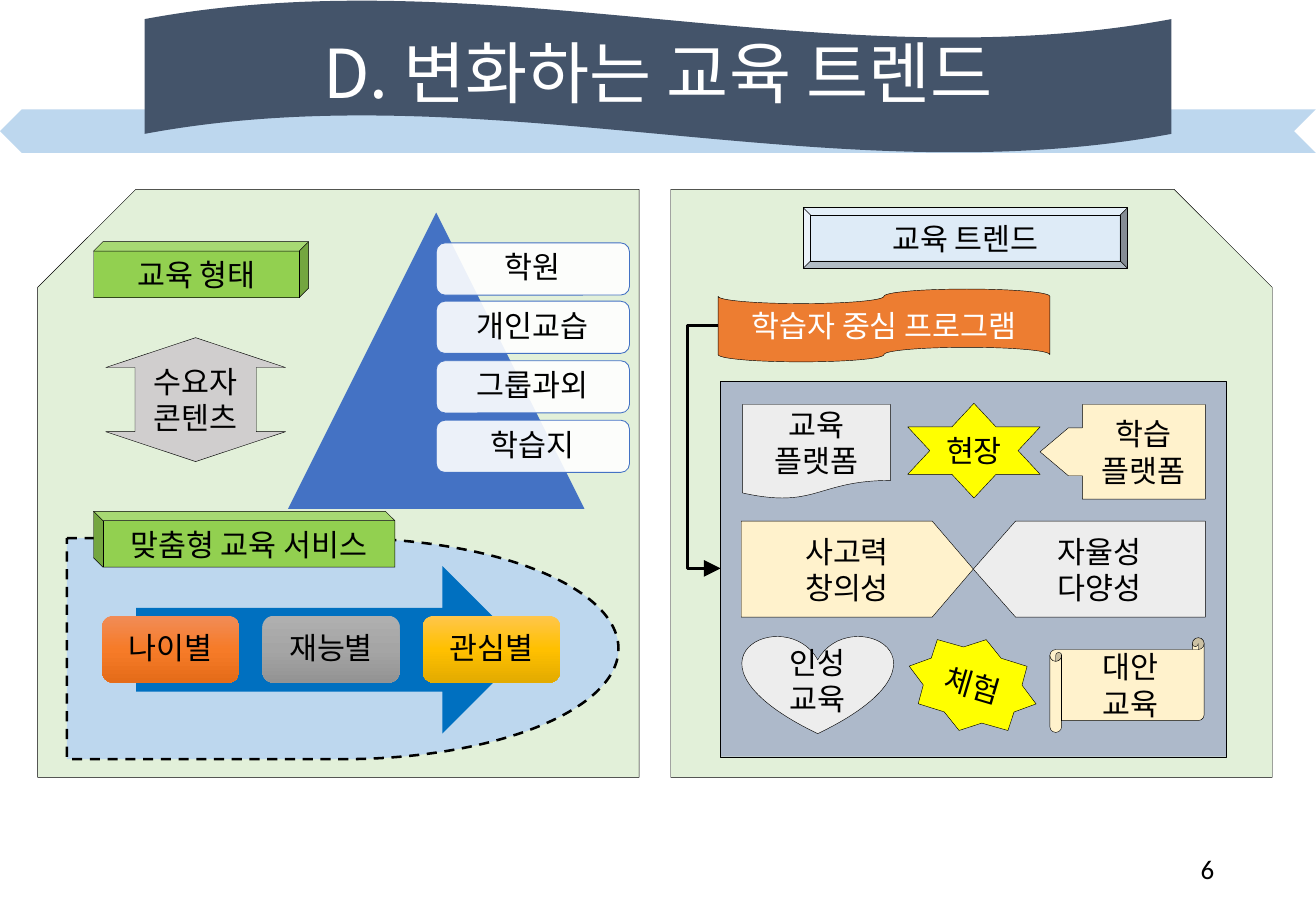
from copy import deepcopy
from dataclasses import dataclass

from lxml.etree import SubElement
from pptx import Presentation
from pptx.dml.color import RGBColor
from pptx.enum.dml import MSO_LINE
from pptx.enum.shapes import MSO_CONNECTOR, MSO_SHAPE as Preset
from pptx.enum.text import MSO_ANCHOR, PP_ALIGN as Align
from pptx.oxml.ns import qn
from pptx.util import Emu, Pt

EMU_PER_PX = 9144  # 100 px to the inch
KOREAN = "Noto Sans CJK KR"
BLACK, WHITE = "000000", "FFFFFF"
GREEN, MINT, SKY = "92D050", "E2F0D9", "BDD7EE"
BLUE, CREAM, PALE, YELLOW = "4472C4", "FFF2CC", "EDEDED", "FFFF00"


@dataclass(frozen=True)
class TextStyle:
    size: int = 18
    color: str = BLACK
    font: str = KOREAN
    align: Align = Align.CENTER
    spacing: float | None = None


BODY = TextStyle()
TIGHT = TextStyle(spacing=0.9)
TITLE = TextStyle(size=40, color=WHITE, spacing=0.9)
PAGE_NUMBER = TextStyle(size=16, font="Calibri", align=Align.RIGHT)


@dataclass(frozen=True)
class Block:
    preset: Preset
    x: int
    y: int
    w: int
    h: int
    fill: str | tuple[str, ...]
    text: str = ""
    style: TextStyle = BODY
    line: str | None = BLACK
    weight: float = 0.25
    dashed: bool = False
    flip: bool = False
    rotation: float = 0
    adjust: tuple[tuple[str, float], ...] = ()
    opacity: int = 100
    inset: int | None = None


def px(length: int) -> Emu:
    return Emu(length * EMU_PER_PX)


def rgb(value: str) -> RGBColor:
    return RGBColor.from_string(value)


def write(frame, text: str, style: TextStyle) -> None:
    frame.word_wrap = True
    frame.vertical_anchor = MSO_ANCHOR.MIDDLE
    frame.text = text
    for paragraph in frame.paragraphs:
        paragraph.alignment = style.align
        if style.spacing:
            paragraph.line_spacing = style.spacing
        font = paragraph.font
        font.size, font.name = Pt(style.size), style.font
        font.color.rgb = rgb(style.color)
        SubElement(font._element, qn("a:ea"), typeface=style.font)


def set_guides(shape, guides: tuple[tuple[str, float], ...]) -> None:
    """Replace the adjustment guides of a preset outline, given by name."""
    guide_list = shape._element.spPr.find(qn("a:prstGeom")).find(qn("a:avLst"))
    guide_list[:] = []
    for name, value in guides:
        SubElement(guide_list, qn("a:gd"), name=name, fmla=f"val {round(value * 100000)}")


def paint_gradient(shape, colors: tuple[str, ...]) -> None:
    """Fill from top to bottom with evenly spaced colours."""
    shape.fill.gradient()
    shape.fill.gradient_angle = 270
    stop_list = shape._element.spPr.find(qn("a:gradFill")).find(qn("a:gsLst"))
    while len(stop_list) < len(colors):
        stop_list.append(deepcopy(stop_list[0]))
    for i, (stop, color) in enumerate(zip(shape.fill.gradient_stops, colors)):
        stop.color.rgb = rgb(color)
        stop.position = i / (len(colors) - 1)


def draw(slide, block: Block) -> None:
    shape = slide.shapes.add_shape(
        block.preset, px(block.x), px(block.y), px(block.w), px(block.h))
    shape.shadow.inherit = False
    shape.rotation = block.rotation
    if block.adjust:
        set_guides(shape, block.adjust)
    properties = shape._element.spPr
    if block.flip:
        properties.find(qn("a:xfrm")).set("flipH", "1")
    if isinstance(block.fill, tuple):
        paint_gradient(shape, block.fill)
    else:
        shape.fill.solid()
        shape.fill.fore_color.rgb = rgb(block.fill)
        if block.opacity < 100:
            color = properties.find(qn("a:solidFill"))[0]
            SubElement(color, qn("a:alpha"), val=str(block.opacity * 1000))
    if block.line:
        shape.line.color.rgb = rgb(block.line)
        shape.line.width = Pt(block.weight)
        if block.dashed:
            shape.line.dash_style = MSO_LINE.DASH
    else:
        shape.line.fill.background()
    if block.text:
        write(shape.text_frame, block.text, block.style)
    if block.inset is not None:
        frame = shape.text_frame
        frame.margin_left = frame.margin_right = px(block.inset)
        frame.margin_top = frame.margin_bottom = px(block.inset)


def add_label(slide, x: int, y: int, w: int, h: int, text: str, style: TextStyle) -> None:
    label = slide.shapes.add_textbox(px(x), px(y), px(w), px(h))
    write(label.text_frame, text, style)


def add_elbow_arrow(slide, start: tuple[int, int], end: tuple[int, int], bend_x: int) -> None:
    """Draw an elbow arrow whose vertical part stands at bend_x."""
    arrow = slide.shapes.add_connector(
        MSO_CONNECTOR.ELBOW, *map(px, start), *map(px, end))
    arrow.line.color.rgb = rgb(BLACK)
    arrow.line.width = Pt(1.5)
    properties = arrow._element.spPr
    SubElement(properties.find(qn("a:ln")), qn("a:tailEnd"),
               type="triangle", w="lg", len="lg")
    SubElement(properties, qn("a:effectLst"))
    set_guides(arrow, (("adj1", (bend_x - start[0]) / (end[0] - start[0])),))


BANNER = [
    Block(Preset.CHEVRON, 0, 90, 1083, 36, SKY, line=None, flip=True),
    Block(Preset.WAVE, 119, 0, 845, 126, "44546A", line=None),
]
LESSON_PILLS = [
    Block(Preset.ROUNDED_RECTANGLE, 359, 200 + i * 146 // 3, 159, 43, WHITE, lesson,
          TIGHT, line=BLUE, weight=0.5, opacity=90, inset=5)
    for i, lesson in enumerate(["학원", "개인교습", "그룹과외", "학습지"])
]
SERVICES = {
    "나이별": ("F18C57", "F67B28", "E56C19"),
    "재능별": ("AFAFAF", "A5A5A5", "939393"),
    "관심별": ("FFC64B", "FFC000", "E3AB00"),
}
SERVICE_TILES = [
    Block(Preset.ROUNDED_RECTANGLE, 84 + 132 * i, 507, 113, 55, shades, service,
          TIGHT, line=None, inset=5)
    for i, (service, shades) in enumerate(SERVICES.items())
]
CUBE_DEPTH = (("adj", 0.168),)
FORMS_PANEL = [
    Block(Preset.SNIP_1_RECTANGLE, 31, 156, 495, 484, MINT, flip=True),
    Block(Preset.CUBE, 77, 199, 177, 46, GREEN, "교육 형태", adjust=CUBE_DEPTH),
    Block(Preset.ISOSCELES_TRIANGLE, 237, 175, 244, 244, BLUE, line=None),
    *LESSON_PILLS,
    Block(Preset.FLOWCHART_DELAY, 55, 443, 454, 182, SKY, weight=1.5, dashed=True),
    Block(Preset.RIGHT_ARROW, 112, 466, 321, 138, "0070C0", line=None),
    *SERVICE_TILES,
    Block(Preset.UP_DOWN_ARROW, 87, 278, 148, 102, "D0CECE", "수요자\n콘텐츠",
          adjust=(("adj1", 0.674), ("adj2", 0.241))),
    Block(Preset.CUBE, 77, 421, 248, 46, GREEN, "맞춤형 교육 서비스",
          flip=True, adjust=CUBE_DEPTH),
]
TREND_PANEL = [
    Block(Preset.SNIP_1_RECTANGLE, 552, 156, 495, 484, MINT),
    Block(Preset.RECTANGLE, 593, 314, 416, 309, "ADB9CA"),
    Block(Preset.BEVEL, 661, 171, 267, 50, "DEEBF7", "교육 트렌드"),
    Block(Preset.FLOWCHART_DOCUMENT, 611, 333, 122, 78, PALE, "교육\n플랫폼"),
    Block(Preset.STAR_6_POINT, 747, 332, 109, 78, YELLOW, "현장", flip=True),
    Block(Preset.RIGHT_ARROW_CALLOUT, 856, 333, 136, 78, CREAM, "학습\n플랫폼", flip=True,
          adjust=(("adj1", 0.774), ("adj2", 0.253), ("adj3", 0.299), ("adj4", 0.744))),
    Block(Preset.PENTAGON, 610, 429, 191, 79, CREAM, "사고력\n창의성",
          adjust=(("adj", 0.428),)),
    Block(Preset.PENTAGON, 801, 429, 191, 79, PALE, "자율성\n다양성",
          flip=True, adjust=(("adj", 0.44),)),
    Block(Preset.HEART, 611, 523, 124, 81, PALE, "인성\n교육"),
    Block(Preset.STAR_8_POINT, 746, 525, 109, 78, YELLOW, "체험",
          flip=True, rotation=16.6, adjust=(("adj", 0.387),)),
    Block(Preset.HORIZONTAL_SCROLL, 864, 525, 127, 78, CREAM, "대안\n교육"),
    Block(Preset.FLOWCHART_PUNCHED_TAPE, 591, 238, 273, 60, "ED7D31",
          "학습자 중심 프로그램", TextStyle(color=WHITE)),
]


def main() -> None:
    deck = Presentation()
    deck.slide_width, deck.slide_height = px(1083), px(750)
    slide = deck.slides.add_slide(deck.slide_layouts[6])
    for block in BANNER:
        draw(slide, block)
    add_label(slide, 765, 695, 244, 40, "6", PAGE_NUMBER)
    add_label(slide, 0, 0, 1083, 126, "D. 변화하는 교육 트렌드", TITLE)
    for block in FORMS_PANEL + TREND_PANEL:
        draw(slide, block)
    add_elbow_arrow(slide, (591, 268), (593, 468), bend_x=566)
    deck.save("out.pptx")


if __name__ == "__main__":
    main()
